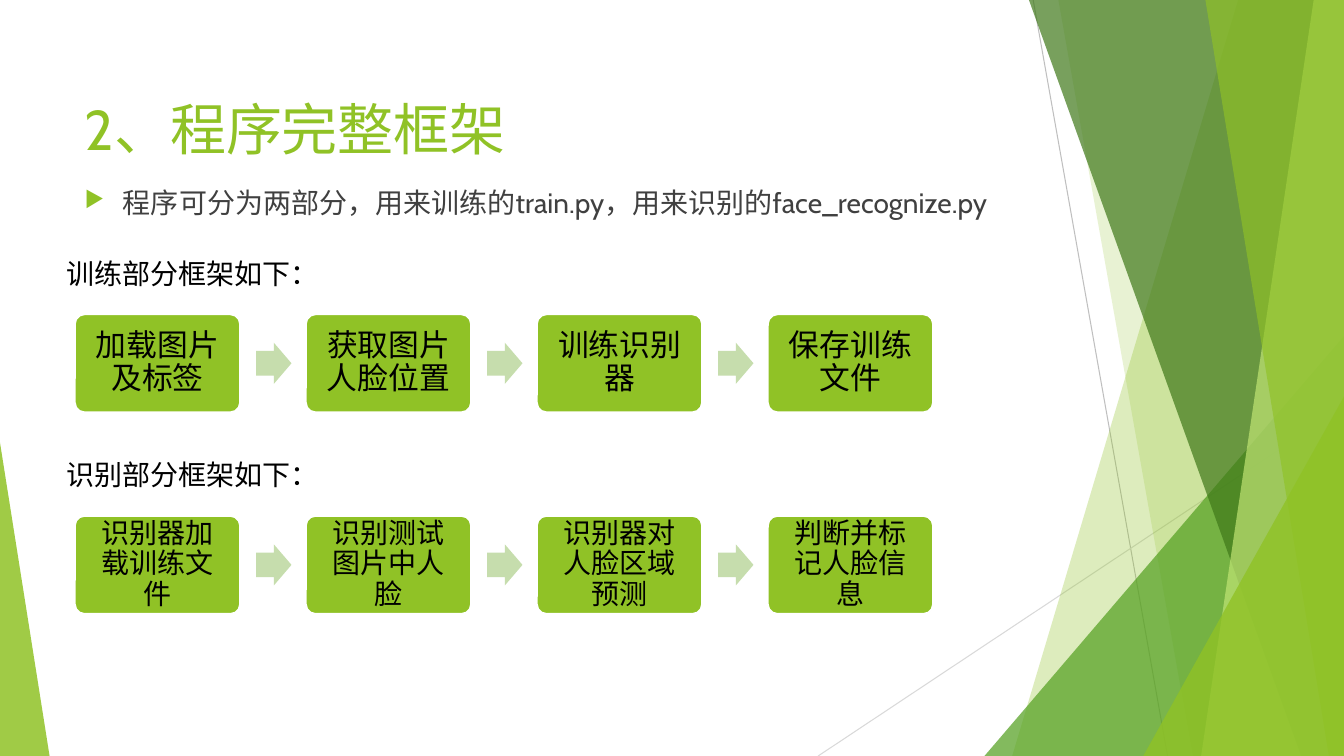
from dataclasses import dataclass

from lxml import etree
from pptx import Presentation, util as u
from pptx.dml.color import RGBColor
from pptx.enum import shapes, text
from pptx.oxml.ns import qn


@dataclass(frozen=True)
class Theme:
    font: str = "Cabin"
    green: str = "90C226"
    leaf: str = "54A021"
    forest: str = "3F7819"
    lime: str = "C0E474"
    arrow: str = "C6DDAD"
    body: str = "404040"
    black: str = "000000"
    white: str = "FFFFFF"
    ray: str = "BFBFBF"
    pale_ray: str = "D9D9D9"
    title_size: int = 40
    large_size: int = 22
    text_size: int = 20


THEME = Theme()
COLUMNS, ROWS = 160, 90  # square cells, 12 to the inch
CELL = u.Inches(1) // 12
SHAPE = shapes.MSO_SHAPE


def cells(*counts):
    return [round(count * CELL) for count in counts]


def write(frame, words, size=THEME.text_size, color=THEME.black, align=text.PP_ALIGN.LEFT,
          anchor=text.MSO_ANCHOR.TOP, wrap=True, inset=None, spacing=None, before=None):
    """Put one formatted paragraph in a text frame."""
    frame.auto_size = text.MSO_AUTO_SIZE.NONE
    frame.word_wrap = wrap
    frame.vertical_anchor = anchor
    if inset is not None:
        frame.margin_left = frame.margin_right = u.Inches(inset)
        frame.margin_top = frame.margin_bottom = u.Inches(inset)
    paragraph = frame.paragraphs[0]
    paragraph.alignment = align
    paragraph.line_spacing = spacing
    paragraph.space_before = before
    run = paragraph.add_run()
    run.text = words
    run.font.name = THEME.font
    run.font.size = u.Pt(size)
    run.font.color.rgb = RGBColor.from_string(color)
    return paragraph


class GridSlide:
    def __init__(self, deck, theme):
        self.theme = theme
        self.slide = deck.slides.add_slide(deck.slide_layouts[5])
        self.shapes = self.slide.shapes

    def paint(self, shape, fill, opacity=100, outline=None):
        shape.shadow.inherit = False
        shape.fill.solid()
        shape.fill.fore_color.rgb = RGBColor.from_string(fill)
        if opacity < 100:
            color = shape.fill._xPr.find(qn("a:solidFill"))[0]
            etree.SubElement(color, qn("a:alpha"), val=str(opacity * 1000))
        if outline:
            shape.line.color.rgb = RGBColor.from_string(outline)
            shape.line.width = u.Pt(1.5)
        else:
            shape.line.fill.background()
        return shape

    def preset(self, kind, box, adjust, fill, **paint):
        shape = self.shapes.add_shape(kind, *cells(*box))
        for index, value in enumerate(adjust):
            shape.adjustments[index] = value
        return self.paint(shape, fill, **paint)

    def shard(self, top, bottom, fill, opacity):
        """A full-height band from a slanted left edge to the slide's right edge."""
        outline = self.shapes.build_freeform(*cells(top, 0), scale=1.0)
        corners = [(COLUMNS, 0), (COLUMNS, ROWS), (bottom, ROWS)]
        outline.add_line_segments([cells(*corner) for corner in corners], close=True)
        self.paint(outline.convert_to_shape(), fill, opacity)

    def ray(self, start, end, color):
        line = self.shapes.add_connector(shapes.MSO_CONNECTOR.STRAIGHT, *cells(*start, *end))
        line.line.color.rgb = RGBColor.from_string(color)
        line.line.width = u.Pt(0.75)
        etree.SubElement(line._element.spPr, qn("a:effectLst"))

    def title(self, words, box):
        title = self.shapes.title
        title.left, title.top, title.width, title.height = cells(*box)
        write(title.text_frame, words, size=self.theme.title_size, color=self.theme.green)

    def label(self, words, box, **style):
        return write(self.shapes.add_textbox(*cells(*box)).text_frame, words, **style)

    def bullet(self, words, box):
        paragraph = self.label(words, box, color=self.theme.body, before=u.Pt(10))
        properties = paragraph._p.get_or_add_pPr()
        hanging = u.Inches(0.38)
        properties.set("marL", str(hanging))
        properties.set("indent", str(-hanging))
        color = etree.SubElement(properties, qn("a:buClr"))
        etree.SubElement(color, qn("a:srgbClr"), val=self.theme.green)
        etree.SubElement(properties, qn("a:buSzPct"), val="80000")
        etree.SubElement(properties, qn("a:buChar"), char="▶")

    def flow(self, heading, steps, top, size, inset):
        """A heading over a row of steps joined by arrows."""
        left, pitch, width, height = 8.9, 27.5, 19.7, 11.7
        arrow_width, arrow_height = 4.2, 4.9
        self.label(heading, (6.7, top, 32.8, 5.3), wrap=False)
        step_top = top + 7.5
        arrow_top = step_top + (height - arrow_height) / 2
        for index, step in enumerate(steps):
            x = left + index * pitch
            if index:
                self.preset(SHAPE.RIGHT_ARROW, (x - 5.9, arrow_top, arrow_width, arrow_height),
                            (0.6, 0.5), self.theme.arrow)
            card = self.preset(SHAPE.ROUNDED_RECTANGLE, (x, step_top, width, height), (0.1,),
                               self.theme.green, outline=self.theme.white)
            write(card.text_frame, step, size=size, align=text.PP_ALIGN.CENTER,
                  anchor=text.MSO_ANCHOR.MIDDLE, inset=inset, spacing=0.9)

    def corner(self, left, top, width, apex, fill, opacity):
        self.preset(SHAPE.ISOSCELES_TRIANGLE, (left, top, width, ROWS - top), (apex,),
                    fill, opacity=opacity)


def main():
    deck = Presentation()
    deck.slide_width, deck.slide_height = cells(COLUMNS, ROWS)
    page = GridSlide(deck, THEME)

    # Faceted backdrop, back to front
    page.ray((123, 0), (139, ROWS), THEME.ray)
    page.ray((COLUMNS, 48.4), (97.4, ROWS), THEME.pale_ray)
    page.shard(147.4, 120.5, THEME.green, 30)
    page.shard(126, 142, THEME.green, 20)
    page.corner(117.2, 40, 42.8, 1, THEME.leaf, 72)
    page.shard(122.5, 154.9, THEME.forest, 70)
    page.shard(156.4, 143, THEME.lime, 70)
    page.shard(143.5, 158.2, THEME.green, 65)
    page.corner(136.1, 47.2, 23.9, 1, THEME.green, 80)
    page.corner(0, 52.7, 5.9, 0, THEME.green, 85)

    # Title and summary
    page.title("2、程序完整框架", (8.9, 10.7, 112.8, 10.8))
    page.bullet("程序可分为两部分，用来训练的train.py，用来识别的face_recognize.py",
                (8.9, 21.5, 112.8, 6.1))

    # Training and recognition flows
    page.flow("训练部分框架如下：",
              ["加载图片及标签", "获取图片人脸位置", "训练识别器", "保存训练文件"],
              top=29.9, size=THEME.large_size, inset=0.12)
    page.flow("识别部分框架如下：",
              ["识别器加载训练文件", "识别测试图片中人脸", "识别器对人脸区域预测", "判断并标记人脸信息"],
              top=53.9, size=THEME.text_size, inset=0.11)

    deck.save("out.pptx")


if __name__ == "__main__":
    main()
